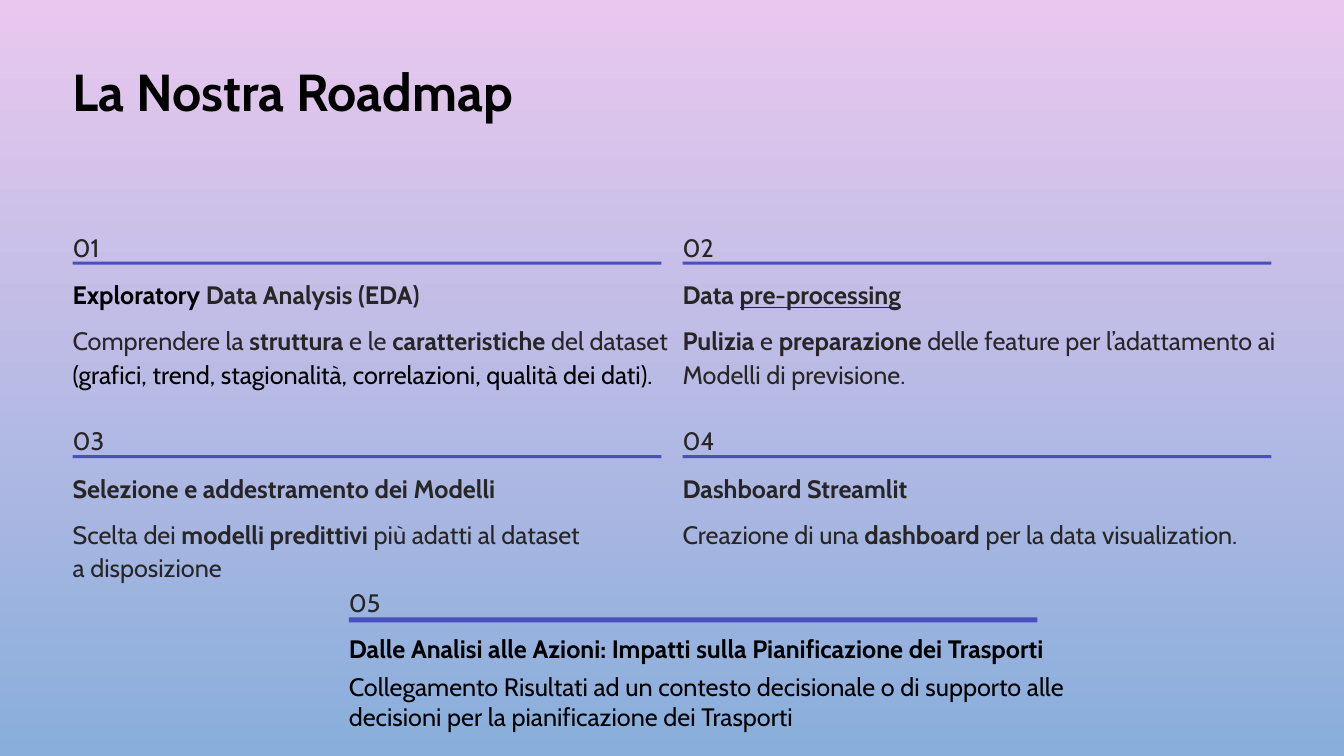
from pptx import Presentation
from pptx.dml.color import RGBColor
from pptx.enum.shapes import MSO_SHAPE
from pptx.enum.text import MSO_ANCHOR, MSO_AUTO_SIZE, PP_ALIGN
from pptx.util import Inches, Pt

RECT = MSO_SHAPE.RECTANGLE
TOP = MSO_ANCHOR.TOP
LEFT = PP_ALIGN.LEFT
NO_FIT = MSO_AUTO_SIZE.NONE

PINK = RGBColor(0xE9, 0xC8, 0xEF)
SKY = RGBColor(0x89, 0xAE, 0xDB)
INDIGO = RGBColor(0x49, 0x50, 0xBC)
INK = RGBColor(0x27, 0x25, 0x25)
BLACK = RGBColor(0, 0, 0)
FONT = "Cabin"

# Grid in inches
MARGIN, GRID_TOP = 0.72, 2.27
COL_W, GUTTER, ROW_PITCH = 5.84, 0.21, 1.92
LINE_H = 0.33

# Line spacing in points
TITLE_LS, HEAD_LS, BODY_LS = 46.2, 22.9, 23.8

# Run formats
PLAIN = {"size": Pt(18), "name": FONT, "bold": False}
BOLD = {**PLAIN, "bold": True}
UNDERLINED = {**BOLD, "underline": True}
TITLE = {**BOLD, "size": Pt(37.1)}

# Each step: heading runs, then body lines made of runs (text, format, colour)
STEPS = [
    ([("Exploratory", BOLD, BLACK), (" Data Analysis (EDA)", BOLD, INK)],
     [[("Comprendere la ", PLAIN, INK), ("struttura", BOLD, INK), (" e le ", PLAIN, INK),
       ("caratteristiche", BOLD, INK), (" del dataset", PLAIN, INK)],
      [("(grafici, trend, stagionalità, correlazioni, qualità dei dati).", PLAIN, BLACK)]]),
    ([("Data ", BOLD, INK), ("pre-processing", UNDERLINED, INK)],
     [[("Pulizia", BOLD, INK), (" e ", PLAIN, INK), ("preparazione", BOLD, INK),
       (" delle feature per l’adattamento ai", PLAIN, INK)],
      [("Modelli di previsione.", PLAIN, INK)]]),
    ([("Selezione e addestramento dei Modelli", BOLD, INK)],
     [[("Scelta dei ", PLAIN, INK), ("modelli predittivi ", BOLD, INK),
       ("più adatti al dataset", PLAIN, INK)],
      [("a disposizione", PLAIN, INK)]]),
    ([("Dashboard Streamlit", BOLD, INK)],
     [[("Creazione di una ", PLAIN, INK), ("dashboard", BOLD, INK),
       (" per la data visualization.", PLAIN, INK)]]),
]
FINAL_STEP = (
    [("Dalle Analisi alle Azioni: Impatti sulla Pianificazione dei Trasporti", BOLD, BLACK)],
    [[("Collegamento Risultati ad un contesto decisionale o di supporto alle", PLAIN, BLACK)],
     [("decisioni per la pianificazione dei Trasporti", PLAIN, BLACK)]])


def fill_text(tf, lines, spacing=None, wrap=False):
    frame = {"margin_left": 0, "margin_top": 0, "margin_right": 0, "margin_bottom": 0,
             "vertical_anchor": TOP, "auto_size": NO_FIT, "word_wrap": wrap}
    for key, value in frame.items():
        setattr(tf, key, value)
    for i, runs in enumerate(lines):
        p = tf.add_paragraph() if i else tf.paragraphs[0]
        p.alignment = LEFT
        if spacing:
            p.line_spacing = Pt(spacing)
        for text, fmt, color in runs:
            r = p.add_run()
            r.text = text
            for key, value in fmt.items():
                setattr(r.font, key, value)
            r.font.color.rgb = color


def add_text(slide, x, y, w, h, lines, spacing=None):
    sp = slide.shapes.add_textbox(Inches(x), Inches(y), Inches(w), Inches(h))
    fill_text(sp.text_frame, lines, spacing)


def add_rule(slide, x, y, w, h):
    sp = slide.shapes.add_shape(RECT, Inches(x), Inches(y), Inches(w), Inches(h))
    sp.shadow.inherit = False
    sp.fill.solid()
    sp.fill.fore_color.rgb = INDIGO
    sp.line.fill.background()


def add_step(slide, number, step, x, y, w=COL_W, rule_h=0.03, body_dy=0.93,
             head_ls=HEAD_LS, body_ls=BODY_LS):
    heading, body = step
    add_text(slide, x, y, 0.21, 0.26, [[(f"{number:02}", PLAIN, INK)]], BODY_LS)
    add_rule(slide, x, y + 0.325, w, rule_h)
    add_text(slide, x, y + 0.485, w, 0.32, [heading], head_ls)
    add_text(slide, x, y + body_dy, w, LINE_H * len(body), body, body_ls)


def add_title(slide, text):
    sp = slide.shapes.title
    sp.left, sp.top = Inches(MARGIN), Inches(0.57)
    sp.width, sp.height = Inches(2 * COL_W + GUTTER), Inches(0.72)
    fill_text(sp.text_frame, [[(text, TITLE, BLACK)]], TITLE_LS, wrap=True)


def set_background(slide):
    fill = slide.background.fill
    fill.gradient()
    fill.gradient_angle = 270
    for stop, color in zip(fill.gradient_stops, (PINK, SKY)):
        stop.color.rgb = color


def main():
    prs = Presentation()
    prs.slide_width, prs.slide_height = Inches(13.33), Inches(7.5)
    slide = prs.slides.add_slide(prs.slide_layouts[5])
    set_background(slide)
    add_title(slide, "La Nostra Roadmap")

    # Two-by-two grid of steps
    for i, step in enumerate(STEPS):
        row, col = divmod(i, 2)
        add_step(slide, i + 1, step, MARGIN + col * (COL_W + GUTTER),
                 GRID_TOP + row * ROW_PITCH)

    # Closing step below the grid
    add_step(slide, len(STEPS) + 1, FINAL_STEP, 3.46, 5.8, w=6.83, rule_h=0.05,
             body_dy=0.86, head_ls=None, body_ls=None)

    prs.save("out.pptx")


if __name__ == "__main__":
    main()
